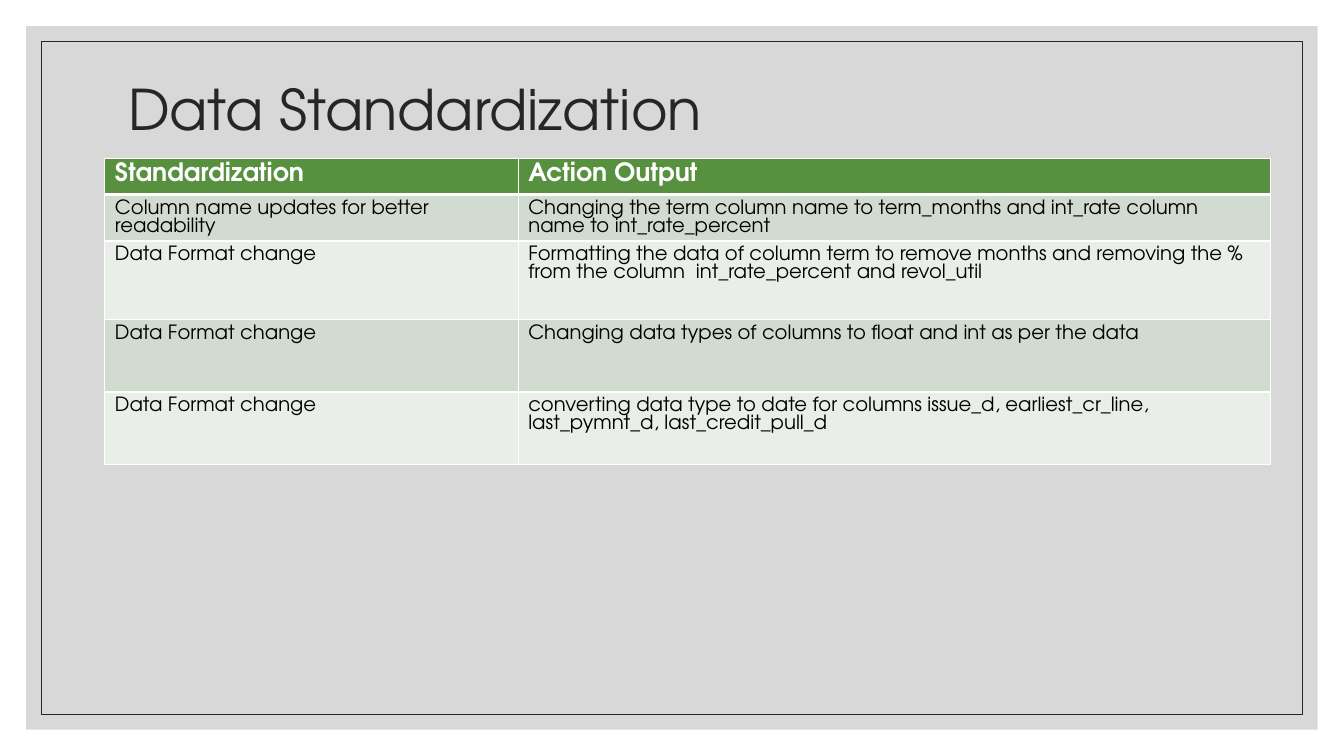
from dataclasses import dataclass

from lxml import etree
from pptx import Presentation
from pptx.dml.color import RGBColor
from pptx.enum.shapes import MSO_SHAPE
from pptx.enum.text import MSO_ANCHOR, MSO_AUTO_SIZE, PP_ALIGN
from pptx.oxml.ns import qn
from pptx.util import Inches, Pt

RECTANGLE = MSO_SHAPE.RECTANGLE
MIDDLE = MSO_ANCHOR.MIDDLE
NO_AUTOFIT = MSO_AUTO_SIZE.NONE
LEFT = PP_ALIGN.LEFT

FONT = "TeX Gyre Adventor"
COLORS = {
    "panel": "BFBFBF",
    "dark": "262626",
    "header": "57903F",
    "odd_row": "D1DBCF",
    "even_row": "EAEEE8",
    "white": "FFFFFF",
    "black": "000000",
}
TITLE_ONLY = 5


@dataclass
class Panel:
    margin: float
    fill: str | None = None
    opacity: int = 100
    line: str | None = None


@dataclass
class Step:
    standardization: str
    output: str
    height: float


PANELS = [
    Panel(0.26, fill="panel", opacity=60),
    Panel(0.41, line="dark"),
]
HEADER = Step("Standardization", "Action Output", 0.36)
STEPS = [
    Step("Column name updates for better readability",
         "Changing the term column name to term_months and int_rate column "
         "name to int_rate_percent", 0.46),
    Step("Data Format change",
         "Formatting the data of column term to remove months and removing the % "
         "from the column  int_rate_percent and revol_util", 0.78),
    Step("Data Format change",
         "Changing data types of columns to float and int as per the data", 0.72),
    Step("Data Format change",
         "converting data type to date for columns issue_d, earliest_cr_line, "
         "last_pymnt_d, last_credit_pull_d", 0.72),
]
COLUMN_WIDTHS = [4.1, 7.46]


def rgb(name: str) -> RGBColor:
    return RGBColor.from_string(COLORS[name])


def write_text(frame, text: str, *, size: float, color: str,
               bold: bool = False, spacing: float | None = None) -> None:
    frame.word_wrap = True
    paragraph = frame.paragraphs[0]
    paragraph.alignment = LEFT
    paragraph.line_spacing = spacing
    run = paragraph.add_run()
    run.text = text
    run.font.name = FONT
    run.font.size = Pt(size)
    run.font.bold = bold
    run.font.color.rgb = rgb(color)


def draw_panel(slide, panel: Panel, width: float, height: float) -> None:
    shape = slide.shapes.add_shape(
        RECTANGLE, Inches(panel.margin), Inches(panel.margin),
        Inches(width - 2 * panel.margin), Inches(height - 2 * panel.margin))
    shape.shadow.inherit = False
    if panel.fill:
        shape.fill.solid()
        shape.fill.fore_color.rgb = rgb(panel.fill)
        tint = shape.element.spPr.find(qn("a:solidFill"))[0]
        etree.SubElement(tint, qn("a:alpha"), val=str(panel.opacity * 1000))
    else:
        shape.fill.background()
    if panel.line:
        shape.line.color.rgb = rgb(panel.line)
        shape.line.width = Pt(0.5)
    else:
        shape.line.fill.background()


def set_borders(cell, widths: dict[str, float]) -> None:
    properties = cell._tc.get_or_add_tcPr()
    for position, (side, width) in enumerate(widths.items()):
        border = etree.Element(qn(f"a:{side}"), w=str(Pt(width)))
        fill = etree.SubElement(border, qn("a:solidFill"))
        etree.SubElement(fill, qn("a:srgbClr"), val=COLORS["white"])
        properties.insert(position, border)


def draw_table(slide) -> None:
    rows = [HEADER, *STEPS]
    table = slide.shapes.add_table(
        len(rows), len(COLUMN_WIDTHS), Inches(1.04), Inches(1.57),
        Inches(sum(COLUMN_WIDTHS)), Inches(sum(row.height for row in rows))).table
    for column, width in zip(table.columns, COLUMN_WIDTHS):
        column.width = Inches(width)
    for index, row in enumerate(rows):
        table.rows[index].height = Inches(row.height)
        is_header = index == 0
        fill = "header" if is_header else "odd_row" if index % 2 else "even_row"
        borders = {"lnL": 1, "lnR": 1, "lnT": 3 if index == 1 else 1,
                   "lnB": 3 if is_header else 1}
        for cell, text in zip(table.rows[index].cells, (row.standardization, row.output)):
            cell.fill.solid()
            cell.fill.fore_color.rgb = rgb(fill)
            set_borders(cell, borders)
            write_text(cell.text_frame, text, size=18 if is_header else 14,
                       color="white" if is_header else "black", bold=is_header)


def draw_title(slide) -> None:
    title = slide.shapes.title
    title.left, title.top = Inches(1.17), Inches(0.7)
    title.width, title.height = Inches(11.49), Inches(0.82)
    title.text_frame.auto_size = NO_AUTOFIT
    title.text_frame.vertical_anchor = MIDDLE
    write_text(title.text_frame, "Data Standardization", size=40, color="dark", spacing=0.9)
    title.element.getparent().append(title.element)


def main() -> None:
    width, height = 13.33, 7.5
    deck = Presentation()
    deck.slide_width, deck.slide_height = Inches(width), Inches(height)
    slide = deck.slides.add_slide(deck.slide_layouts[TITLE_ONLY])
    for panel in PANELS:
        draw_panel(slide, panel, width, height)
    draw_title(slide)
    draw_table(slide)
    deck.save("out.pptx")


if __name__ == "__main__":
    main()
